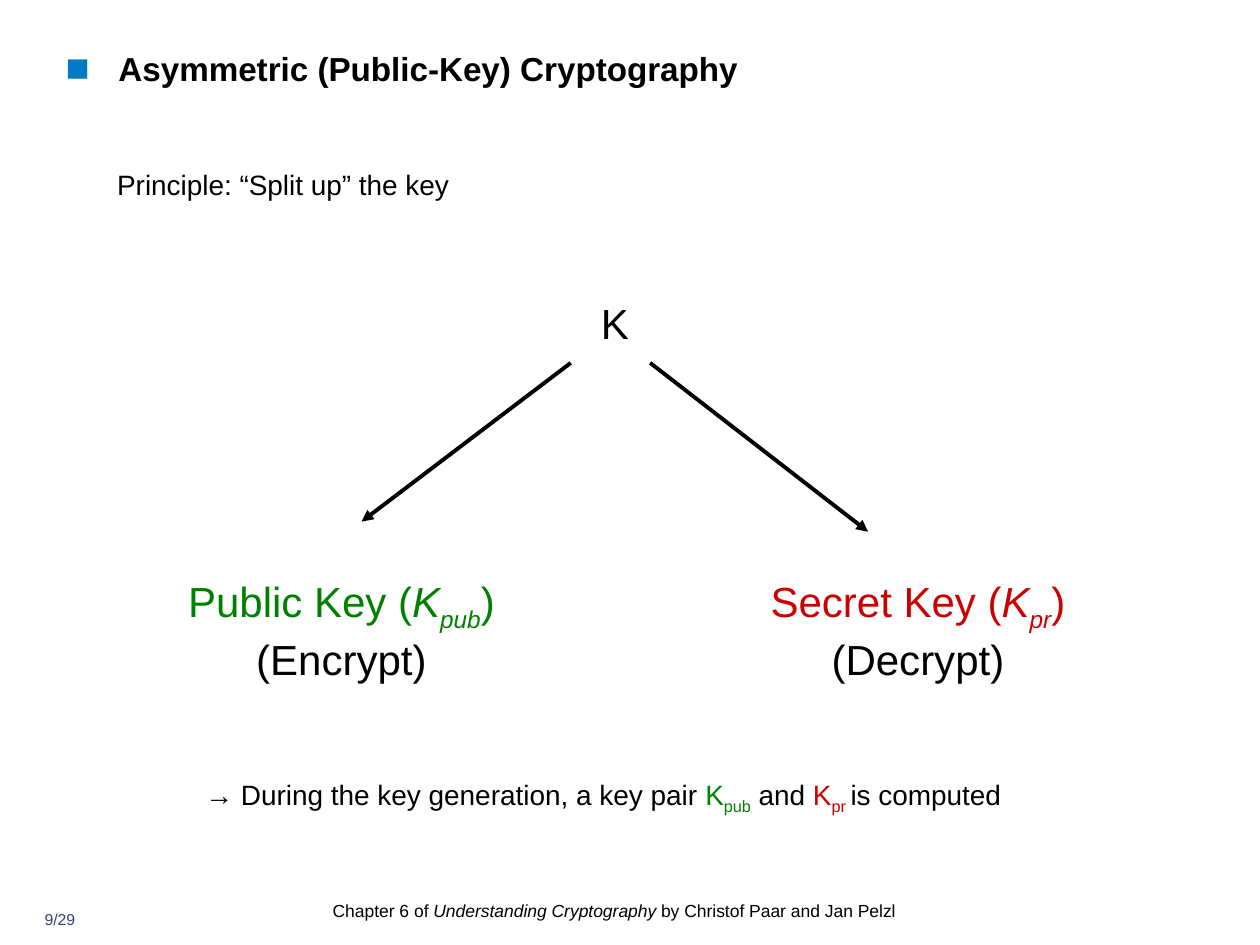
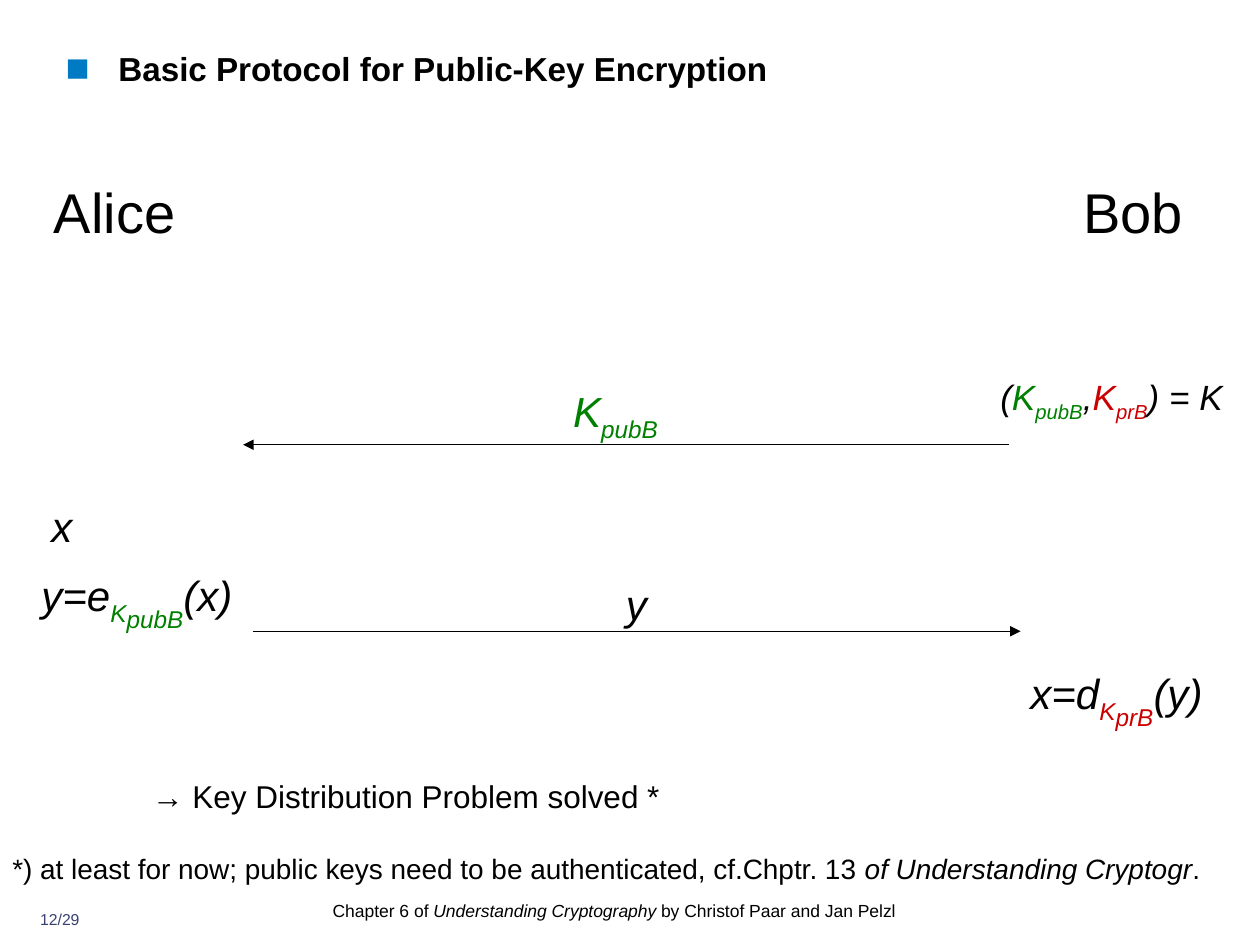
"""Builds two slides on public-key cryptography: the key pair and the basic protocol."""
from dataclasses import dataclass

from lxml.etree import SubElement
from pptx import Presentation
from pptx.dml.color import RGBColor
from pptx.enum.shapes import MSO_CONNECTOR
from pptx.enum.text import MSO_ANCHOR, MSO_AUTO_SIZE, PP_ALIGN as Align
from pptx.oxml.ns import qn
from pptx.util import Inches, Pt


@dataclass(frozen=True)
class Theme:
    font: str = "Arial"
    ink: str = "000000"
    public: str = "008000"
    secret: str = "CC0000"
    bullet: str = "007AC2"
    page: str = "394073"
    name_size: int = 32
    key_size: int = 24
    pair_size: int = 20
    title_size: int = 19
    result_size: int = 18
    body_size: int = 16
    footer_size: int = 10
    page_size: int = 9


theme = Theme()
INK, PUBLIC, SECRET = theme.ink, theme.public, theme.secret
SUB, DEEP_SUB = -25, -40


def write(paragraph, size, pieces, align=Align.LEFT, bold=False):
    """Fill a paragraph with (text, colour, italic, baseline shift) pieces."""
    paragraph.alignment = align
    for text, color, italic, shift in pieces:
        run = paragraph.add_run()
        run.text = text
        font = run.font
        font.name, font.size = theme.font, Pt(size)
        font.bold, font.italic = bold, italic
        font.color.rgb = RGBColor.from_string(color)
        if shift:
            font._element.set("baseline", str(shift * 1000))


def add_text(slide, box, size, pieces, align=Align.LEFT, inset=(0, 0), drop=0.03):
    """Add a text box whose first line sits a little below its top inset."""
    frame = slide.shapes.add_textbox(*map(Inches, box)).text_frame
    frame.word_wrap = True
    frame.margin_left = frame.margin_right = Inches(inset[0])
    frame.margin_top = Inches(inset[1] + drop)
    frame.margin_bottom = Inches(inset[1])
    write(frame.paragraphs[0], size, pieces, align)
    return frame


prs = Presentation()
prs.slide_width, prs.slide_height = Inches(10), Inches(7.5)

slides = []
for heading, page in [("Asymmetric (Public-Key) Cryptography", "9/29"),
                      ("Basic Protocol for Public-Key Encryption", "12/29")]:
    slide = prs.slides.add_slide(prs.slide_layouts[5])
    slides.append(slide)

    title = slide.shapes.title
    title.left, title.top = Inches(0.52), Inches(0.35)
    title.width, title.height = Inches(7.07), Inches(0.56)
    frame = title.text_frame
    frame.word_wrap, frame.auto_size = True, MSO_AUTO_SIZE.NONE
    frame.vertical_anchor = MSO_ANCHOR.TOP
    frame.margin_left = frame.margin_right = frame.margin_bottom = 0
    frame.margin_top = Inches(0.03)
    props = frame.paragraphs[0]._p.get_or_add_pPr()
    props.set("marL", str(Inches(0.42)))
    props.set("indent", str(-Inches(0.42)))
    SubElement(SubElement(props, qn("a:buClr")), qn("a:srgbClr"), val=theme.bullet)
    SubElement(props, qn("a:buSzPct"), val="120000")
    SubElement(props, qn("a:buFont"), typeface=theme.font)
    SubElement(props, qn("a:buChar"), char="■")
    write(frame.paragraphs[0], theme.title_size, [(heading, INK, False, 0)], bold=True)

    add_text(slide, (0.2, 7.22, 0.55, 0.24), theme.page_size,
             [(page, theme.page, False, 0)], Align.CENTER, drop=0)
    add_text(slide, (2.64, 7.14, 4.73, 0.28), theme.footer_size,
             [("Chapter 6 of ", INK, False, 0),
              ("Understanding Cryptography", INK, True, 0),
              (" by Christof Paar and Jan Pelzl", INK, False, 0)], drop=0)

key_pair, protocol = slides

add_text(key_pair, (0.93, 1.24, 4.7, 0.34), theme.body_size,
         [("Principle: “Split up” the key", INK, False, 0)], drop=0.09)
add_text(key_pair, (4.29, 2.33, 1.18, 0.4), theme.key_size,
         [("K", INK, False, 0)], Align.CENTER)
for left, width, kind, index, use, color in [
        (0.98, 3.46, "Public", "pub", "Encrypt", PUBLIC),
        (5.79, 2.99, "Secret", "pr", "Decrypt", SECRET)]:
    add_text(key_pair, (left, 4.54, width, 0.81), theme.key_size,
             [(f"{kind} Key (", color, False, 0), ("K", color, True, 0),
              (index, color, True, SUB), (")", color, False, 0),
              (f" ({use})", INK, False, 0)], Align.CENTER)
add_text(key_pair, (1.63, 6.07, 6.81, 0.34), theme.body_size,
         [("→ During the key generation, a key pair ", INK, False, 0),
          ("K", PUBLIC, False, 0), ("pub", PUBLIC, False, SUB),
          (" and ", INK, False, 0),
          ("K", SECRET, False, 0), ("pr ", SECRET, False, SUB),
          ("is computed", INK, False, 0)], drop=0.1)

protocol_texts = [
    ((0.33, 1.33, 1.33, 0.63), theme.name_size, Align.LEFT, [("Alice", INK, False, 0)]),
    ((8.5, 1.33, 1.08, 0.63), theme.name_size, Align.LEFT, [("Bob", INK, False, 0)]),
    ((7.84, 2.9, 2.42, 0.43), theme.pair_size, Align.LEFT,
     [("(", INK, True, 0), ("K", PUBLIC, True, 0), ("pubB", PUBLIC, True, SUB),
      (",", INK, True, 0), ("K", SECRET, True, 0), ("prB", SECRET, True, SUB),
      (") = K", INK, True, 0)]),
    ((4.45, 2.98, 1.17, 0.5), theme.key_size, Align.LEFT,
     [("K", PUBLIC, True, 0), ("pubB", PUBLIC, True, SUB)]),
    ((0.31, 3.89, 0.83, 0.5), theme.key_size, Align.LEFT, [("x", INK, True, 0)]),
    ((0.23, 4.44, 1.92, 0.5), theme.key_size, Align.LEFT,
     [("y=e", INK, True, 0), ("K", PUBLIC, True, SUB),
      ("pubB", PUBLIC, True, DEEP_SUB), ("(x)", INK, True, 0)]),
    ((4.51, 4.51, 1.08, 0.5), theme.key_size, Align.CENTER, [("y", INK, True, 0)]),
    ((8.08, 5.22, 1.92, 0.5), theme.key_size, Align.LEFT,
     [("x=d", INK, True, 0), ("K", SECRET, True, SUB),
      ("prB", SECRET, True, DEEP_SUB), ("(y)", INK, True, 0)]),
]
for box, size, align, pieces in protocol_texts:
    add_text(protocol, box, size, pieces, align, inset=(0.1, 0.05))

conclusion = add_text(protocol, (0, 6.09, 10, 0.98), theme.result_size,
                      [("→ Key Distribution Problem solved *", INK, False, 0)],
                      inset=(0.1, 0.05))
conclusion.paragraphs[0]._p.get_or_add_pPr().set("marL", str(Inches(1.11)))
caveat = conclusion.add_paragraph()
caveat.space_before = Pt(21)
write(caveat, theme.body_size,
      [("*) at least for now; public keys need to be authenticated, cf.Chptr. 13 ",
        INK, False, 0),
       ("of Understanding Cryptogr", INK, True, 0), (".", INK, False, 0)])

for slide, start, end, weight in [
        (key_pair, (4.53, 2.88), (2.87, 4.14), 2.25),
        (key_pair, (5.16, 2.88), (6.89, 4.22), 2.25),
        (protocol, (8.01, 3.53), (1.93, 3.53), 0.75),
        (protocol, (2.01, 5.01), (8.1, 5.01), 0.75)]:
    arrow = slide.shapes.add_connector(MSO_CONNECTOR.STRAIGHT,
                                       *map(Inches, start + end))
    arrow.line.color.rgb = RGBColor.from_string(INK)
    arrow.line.width = Pt(weight)
    SubElement(arrow.line._get_or_add_ln(), qn("a:tailEnd"), type="triangle")
    SubElement(arrow._element.spPr, qn("a:effectLst"))

prs.save("out.pptx")
